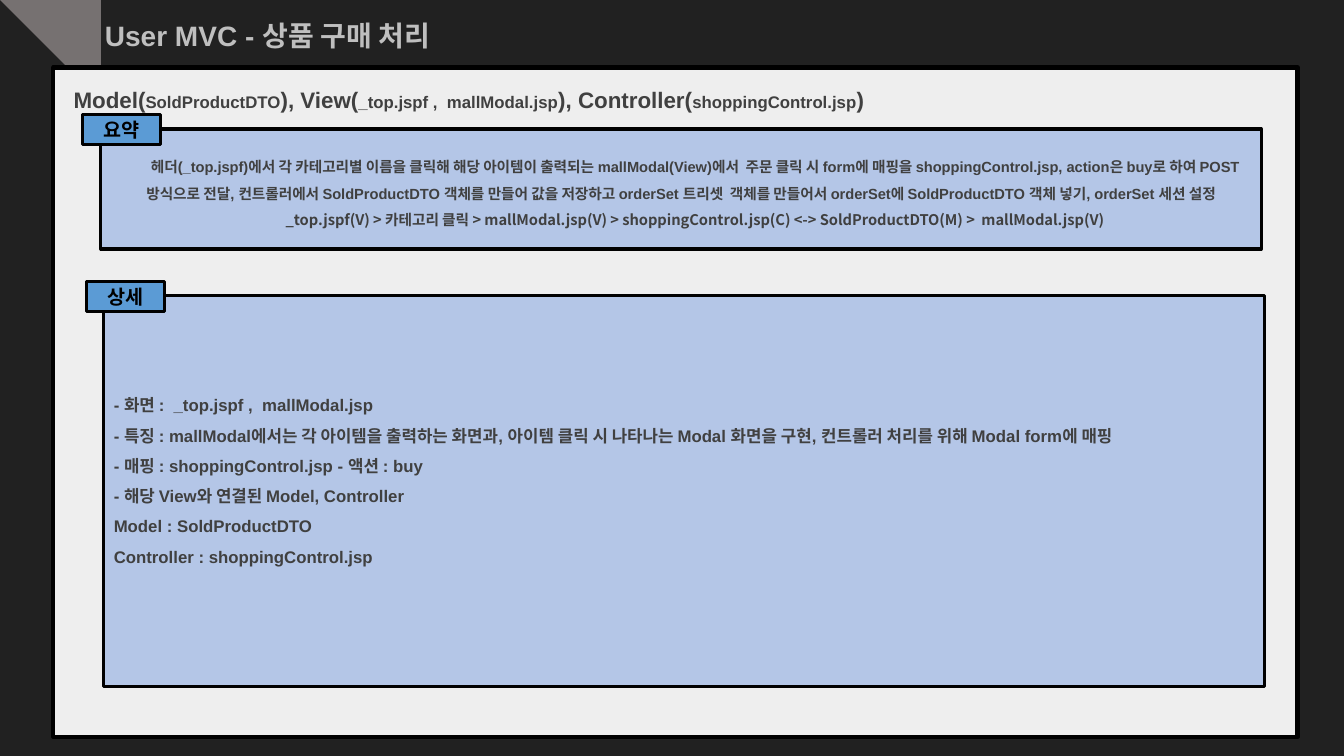
from dataclasses import dataclass

from pptx import Presentation
from pptx.dml.color import RGBColor
from pptx.enum.shapes import MSO_SHAPE
from pptx.enum.text import MSO_ANCHOR, PP_ALIGN
from pptx.util import Inches, Pt

KOREAN_FONT = "Noto Sans CJK KR"
GRAY, BLACK = "404040", "000000"


@dataclass
class Box:
    left: float
    top: float
    width: float
    height: float
    fill: str
    line_width: float = 2.25


@dataclass
class Section:
    label: str
    label_box: Box
    body_box: Box


def color(value: str) -> RGBColor:
    return RGBColor.from_string(value)


def add_box(page, box: Box):
    shape = page.shapes.add_shape(
        MSO_SHAPE.RECTANGLE, Inches(box.left), Inches(box.top),
        Inches(box.width), Inches(box.height))
    shape.shadow.inherit = False
    shape.fill.solid()
    shape.fill.fore_color.rgb = color(box.fill)
    shape.line.color.rgb = color(BLACK)
    shape.line.width = Pt(box.line_width)
    shape.text_frame.word_wrap = True
    shape.text_frame.vertical_anchor = MSO_ANCHOR.MIDDLE
    return shape


def add_span(para, text: str, *, size: float, font: str = "Arial", fill: str = GRAY) -> None:
    span = para.add_run()
    span.text = text
    span.font.size = Pt(size)
    span.font.name = font
    span.font.bold = True
    span.font.color.rgb = color(fill)


def add_para(frame, *, align=PP_ALIGN.LEFT, spacing: float = 1.5, indent: float = 0):
    para = frame.paragraphs[0]
    if para.runs:
        para = frame.add_paragraph()
    para.alignment = align
    para.line_spacing = spacing
    if indent:
        properties = para._p.get_or_add_pPr()
        properties.set("marL", "0")
        properties.set("indent", str(Inches(indent)))
    return para


def add_mouse_icon(page, outlines) -> None:
    builder = page.shapes.build_freeform(*outlines[0][0], scale=Inches(1))
    for number, outline in enumerate(outlines):
        if number:
            builder.move_to(*outline[0])
        builder.add_line_segments(outline[1:], close=True)
    icon = builder.convert_to_shape()
    icon.shadow.inherit = False
    icon.fill.solid()
    icon.fill.fore_color.rgb = color("767171")
    icon.line.fill.background()


MOUSE_OUTLINES = [
    # Wheel
    [(0.81, 0.24), (0.83, 0.24), (0.83, 0.26), (0.8, 0.29), (0.78, 0.29),
     (0.77, 0.27), (0.8, 0.24)],
    # Body
    [(0.65, 0.23), (0.81, 0.43), (0.7, 0.54), (0.67, 0.56), (0.63, 0.57),
     (0.59, 0.57), (0.55, 0.54), (0.52, 0.51), (0.5, 0.47), (0.5, 0.41),
     (0.52, 0.36), (0.54, 0.34)],
    # Right button
    [(0.86, 0.22), (0.88, 0.25), (0.89, 0.28), (0.89, 0.34), (0.87, 0.38),
     (0.82, 0.42), (0.74, 0.33), (0.77, 0.3), (0.79, 0.31), (0.81, 0.31),
     (0.84, 0.28), (0.85, 0.26), (0.84, 0.24)],
    # Left button
    [(0.76, 0.16), (0.79, 0.16), (0.82, 0.18), (0.85, 0.21), (0.83, 0.23),
     (0.81, 0.22), (0.79, 0.22), (0.76, 0.25), (0.75, 0.27), (0.76, 0.29),
     (0.73, 0.32), (0.66, 0.23), (0.7, 0.19), (0.73, 0.17)],
    # Cable
    [(0.89, 0.05), (0.92, 0.06), (0.93, 0.07), (0.92, 0.08), (0.89, 0.07),
     (0.87, 0.07), (0.86, 0.08), (0.86, 0.1), (0.89, 0.13), (0.91, 0.16),
     (0.9, 0.18), (0.89, 0.2), (0.86, 0.22), (0.85, 0.21), (0.86, 0.2),
     (0.88, 0.19), (0.89, 0.18), (0.9, 0.17), (0.89, 0.15), (0.86, 0.12),
     (0.85, 0.1), (0.85, 0.08), (0.86, 0.06), (0.88, 0.06)],
]

SUMMARY = Section("요약", Box(0.82, 1.14, 0.77, 0.29, "5B9BD5"),
                  Box(1, 1.28, 11.51, 1.19, "B4C6E7"))
DETAIL = Section("상세", Box(0.86, 2.79, 0.77, 0.3, "5B9BD5"),
                 Box(1.03, 2.93, 11.51, 3.88, "B4C6E7"))

HEADING = [
    ("Model(", 16), ("SoldProductDTO", 12), ("), View(", 16),
    ("_top.jspf ,  mallModal.jsp", 12), ("), Controller(", 16),
    ("shoppingControl.jsp", 12), (")", 16),
]
SUMMARY_LINES = [
    ("헤더(_top.jspf)에서 각 카테고리별 이름을 클릭해 해당 아이템이 출력되는 "
     "mallModal(View)에서  주문 클릭 시 form에 매핑을 shoppingControl.jsp, "
     "action은 buy로 하여 POST 방식으로 전달, 컨트롤러에서 SoldProductDTO 객체를 "
     "만들어 값을 저장하고 orderSet 트리셋  객체를 만들어서 orderSet에 "
     "SoldProductDTO 객체 넣기, orderSet 세션 설정", "Arial"),
    ("_top.jspf(V) > 카테고리 클릭 > mallModal.jsp(V) > shoppingControl.jsp(C) "
     "<-> SoldProductDTO(M) >  mallModal.jsp(V)", KOREAN_FONT),
]
DETAIL_LINES = [
    "- 화면 :  _top.jspf ,  mallModal.jsp",
    "- 특징 : mallModal에서는 각 아이템을 출력하는 화면과, 아이템 클릭 시 나타나는 "
    "Modal 화면을 구현, 컨트롤러 처리를 위해 Modal form에 매핑",
    "- 매핑 : shoppingControl.jsp - 액션 : buy",
    "- 해당 View와 연결된 Model, Controller",
    "Model : SoldProductDTO",
    "Controller : shoppingControl.jsp",
]


def add_section(page, section: Section):
    body = add_box(page, section.body_box).text_frame
    label = add_box(page, section.label_box).text_frame
    para = add_para(label, align=PP_ALIGN.CENTER, spacing=1.0)
    add_span(para, section.label, size=14, font=KOREAN_FONT, fill=BLACK)
    return body


def main() -> None:
    deck = Presentation()
    deck.slide_width, deck.slide_height = Inches(13.33), Inches(7.5)
    page = deck.slides.add_slide(deck.slide_layouts[5])
    page.background.fill.solid()
    page.background.fill.fore_color.rgb = color("212121")

    # Title and icon
    title = page.shapes.title
    title.left, title.top = Inches(0.94), Inches(0.09)
    title.width, title.height = Inches(5.28), Inches(0.48)
    title.text_frame.word_wrap = True
    title.text_frame.vertical_anchor = MSO_ANCHOR.TOP
    add_span(add_para(title.text_frame, spacing=1.14), "User MVC - 상품 구매 처리",
             size=20, fill="BFBFBF")
    add_mouse_icon(page, MOUSE_OUTLINES)

    # Main panel with heading
    panel = add_box(page, Box(0.53, 0.67, 12.34, 6.64, "EEEEEE", 3)).text_frame
    panel.vertical_anchor = MSO_ANCHOR.TOP
    panel.margin_left = Inches(0.2)
    heading = add_para(panel)
    for text, size in HEADING:
        add_span(heading, text, size=size)

    # Summary
    summary = add_section(page, SUMMARY)
    for text, font in SUMMARY_LINES:
        para = add_para(summary, align=PP_ALIGN.CENTER, indent=0.28)
        add_span(para, text, size=10.5, font=font)

    # Detail
    detail = add_section(page, DETAIL)
    detail.margin_bottom = Inches(0.35)
    for text in DETAIL_LINES:
        add_span(add_para(detail), text, size=12)

    deck.save("out.pptx")


if __name__ == "__main__":
    main()
